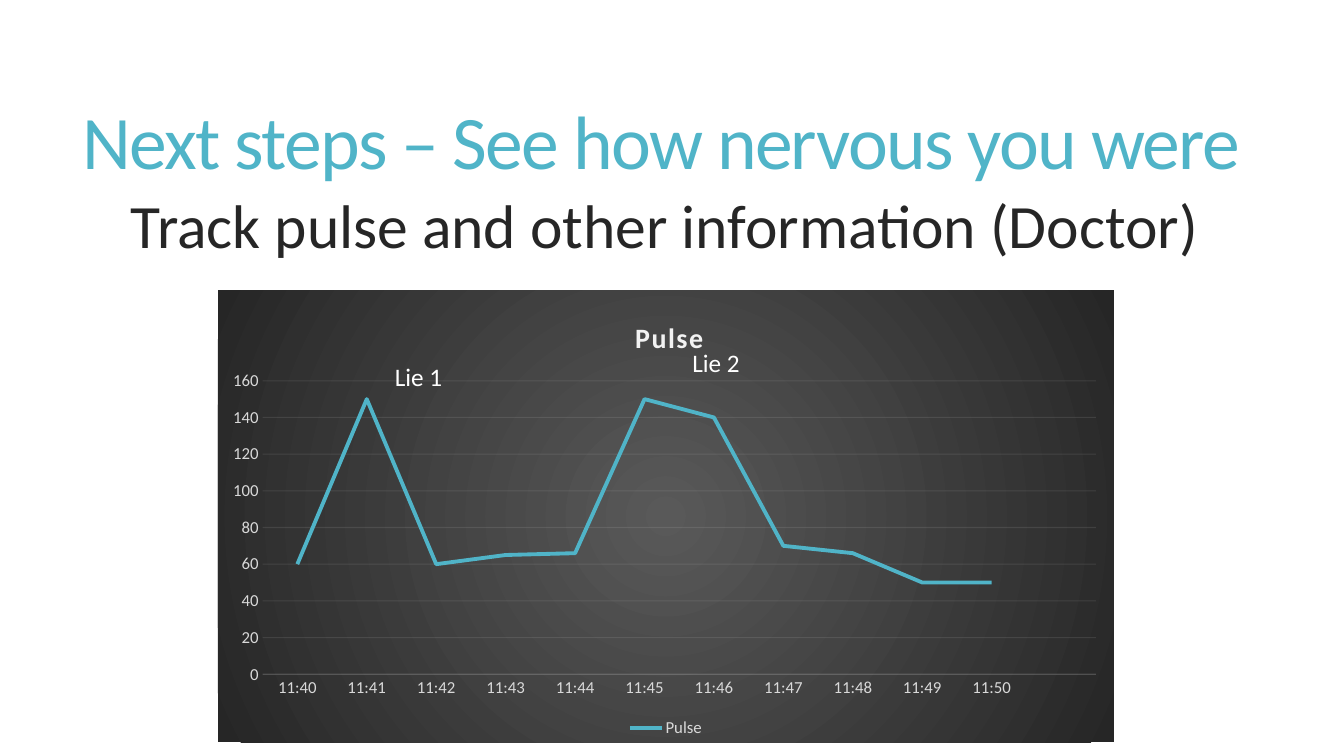
from dataclasses import dataclass

from lxml.etree import Element, SubElement
from pptx import Presentation
from pptx.chart.data import CategoryChartData
from pptx.dml.color import RGBColor
from pptx.enum.chart import XL_CHART_TYPE as ChartType
from pptx.enum.chart import XL_LEGEND_POSITION as LegendPos
from pptx.enum.chart import XL_TICK_MARK as Tick
from pptx.enum.text import MSO_ANCHOR as Anchor
from pptx.oxml import parse_xml
from pptx.oxml.ns import nsdecls, qn
from pptx.util import Cm, Pt

FONT = "Calibri"
TEAL, PALE, GREY, INK, WHITE = "50B4C8", "F2F2F2", "D9D9D9", "262626", "FFFFFF"
PULSES = [60, 150, 60, 65, 66, 150, 140, 70, 66, 50, 50]


@dataclass
class Label:
    """A one-line text box; lengths in centimetres, type in points."""
    text: str
    left: float
    top: float
    width: float
    height: float
    size: float
    color: str
    anchor: Anchor = Anchor.TOP
    line_spacing: float = 1.0
    tracking: float = 0
    indent: float = 0


LABELS = [
    Label("Next steps – See how nervous you were", 1.83, 1.4, 29.92, 4.6, 54, TEAL,
          anchor=Anchor.MIDDLE, line_spacing=0.85, tracking=-1.2),
    Label("Track pulse and other information (Doctor)", 2.69, 4.88, 28.8, 5.56, 44, INK,
          line_spacing=0.85, indent=0.36),
    Label("Lie 1", 9.7, 8.97, 3.3, 1.02, 18, WHITE),
    Label("Lie 2", 17.2, 8.64, 3.3, 1.02, 18, WHITE),
]


def rgb(color: str) -> RGBColor:
    """Turn a hex string into a colour."""
    return RGBColor.from_string(color)


def set_font(font, size: float, color: str) -> None:
    """Apply the slide's typeface with a size and colour."""
    font.name, font.size = FONT, Pt(size)
    font.color.rgb = rgb(color)


def set_tracking(r, points: float) -> None:
    """Set the letter spacing of a run."""
    r._r.get_or_add_rPr().set("spc", str(round(points * 100)))


def add_label(s, label: Label) -> None:
    """Draw one text box."""
    sp = s.shapes.add_textbox(Cm(label.left), Cm(label.top), Cm(label.width), Cm(label.height))
    tf = sp.text_frame
    tf.word_wrap, tf.vertical_anchor = True, label.anchor
    p = tf.paragraphs[0]
    r = p.add_run()
    r.text = label.text
    p.line_spacing = label.line_spacing
    set_font(p.font, label.size, label.color)
    if label.tracking:
        set_tracking(r, label.tracking)
    if label.indent:
        p._p.get_or_add_pPr().set("marL", str(Cm(label.indent)))


def make_layout(inner: bool = False, **fractions: float):
    """Build a manual chart layout from fractions of the chart's size."""
    layout = Element(qn("c:layout"))
    manual = SubElement(layout, qn("c:manualLayout"))
    if inner:
        SubElement(manual, qn("c:layoutTarget")).set("val", "inner")
    for axis in "xy":
        SubElement(manual, qn(f"c:{axis}Mode")).set("val", "edge")
    for key, value in fractions.items():
        SubElement(manual, qn(f"c:{key}")).set("val", str(value))
    return layout


def replace_layout(parent, layout, position: int) -> None:
    """Put a layout into a chart part in place of any present one."""
    for old in parent.findall(qn("c:layout")):
        parent.remove(old)
    parent.insert(position, layout)


def style_line(line) -> None:
    """Give an axis or grid line its thin pale stroke."""
    line.color.rgb, line.width = rgb(PALE), Pt(0.75)


def fill_background(chart) -> None:
    """Fill the chart area with a radial dark gradient."""
    stops = "".join(
        f'<a:gs pos="{pos}"><a:srgbClr val="{color}"/></a:gs>'
        for pos, color in ((0, "595959"), (100000, INK)))
    chart.element.find(qn("c:chart")).addnext(parse_xml(
        f'<c:spPr {nsdecls("c", "a")}><a:gradFill><a:gsLst>{stops}</a:gsLst>'
        '<a:path path="circle"><a:fillToRect l="50000" t="50000" r="50000" b="50000"/></a:path>'
        '</a:gradFill><a:ln><a:noFill/></a:ln></c:spPr>'))


def add_pulse_chart(s) -> None:
    """Draw the pulse line chart with one empty slot at its end."""
    data = CategoryChartData()
    data.categories = [f"11:{40 + i}" for i in range(len(PULSES))] + [""]
    data.add_series("Pulse", PULSES + [None])
    chart = s.shapes.add_chart(ChartType.LINE, Cm(5.49), Cm(7.32), Cm(22.58), Cm(11.38), data).chart
    set_font(chart.font, 12, GREY)

    p = chart.chart_title.text_frame.paragraphs[0]
    r = p.add_run()
    r.text = "Pulse"
    set_font(p.font, 20, PALE)
    p.font.bold = True
    set_tracking(r, 1)

    chart.has_legend = True
    chart.legend.position = LegendPos.BOTTOM
    chart.legend.include_in_layout = False
    set_font(chart.legend.font, 12, GREY)

    cat_axis, val_axis = chart.category_axis, chart.value_axis
    for axis in (cat_axis, val_axis):
        axis.major_tick_mark = axis.minor_tick_mark = Tick.NONE
        set_font(axis.tick_labels.font, 12, GREY)
    style_line(cat_axis.format.line)
    style_line(val_axis.major_gridlines.format.line)
    val_axis.format.line.fill.background()
    val_axis.minimum_scale, val_axis.maximum_scale, val_axis.major_unit = 0, 160, 20
    for ln in chart.element.iter(qn("a:ln")):
        for color in ln.iter(qn("a:srgbClr")):
            SubElement(color, qn("a:alpha")).set("val", "10000")

    plot = chart.plots[0]
    plot.vary_by_categories = False
    series = plot.series[0]
    series.smooth = False
    series.format.line.color.rgb, series.format.line.width = rgb(TEAL), Pt(2.75)

    fill_background(chart)
    plot_area = chart.element.find(".//" + qn("c:plotArea"))
    replace_layout(plot_area, make_layout(inner=True, x=0.05, y=0.2, w=0.93, h=0.65), 0)
    replace_layout(chart.element.find(".//" + qn("c:title")), make_layout(x=0.46, y=0.05), 1)


prs = Presentation()
prs.slide_width, prs.slide_height = Cm(33.87), Cm(19.05)
s = prs.slides.add_slide(prs.slide_layouts[6])
headings, lies = LABELS[:2], LABELS[2:]
for label in headings:
    add_label(s, label)
add_pulse_chart(s)
for label in lies:
    add_label(s, label)
prs.save("out.pptx")
